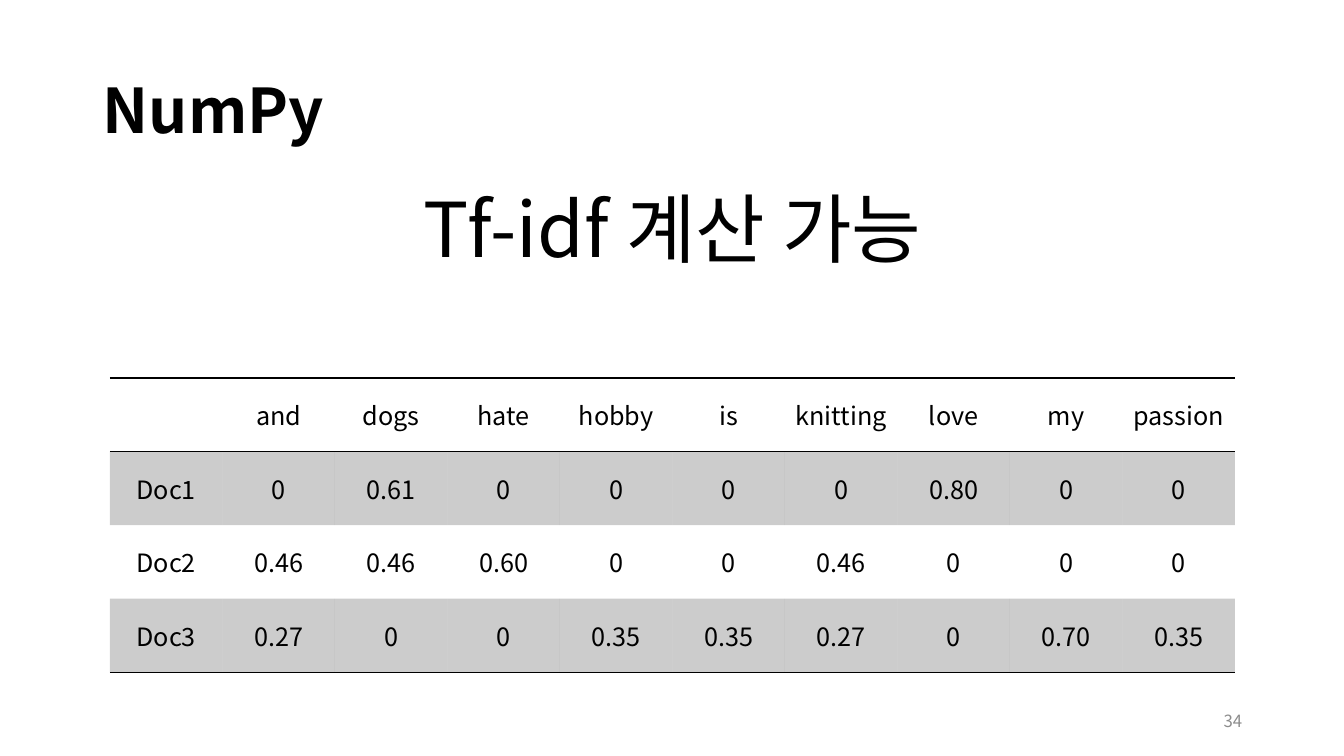
import dataclasses

import lxml.etree
import pptx
import pptx.dml.color
import pptx.enum.text
import pptx.oxml.ns
import pptx.util

Inches = pptx.util.Inches
Pt = pptx.util.Pt
qn = pptx.oxml.ns.qn
Align = pptx.enum.text.PP_ALIGN
Anchor = pptx.enum.text.MSO_ANCHOR


@dataclasses.dataclass(frozen=True)
class Theme:
    font: str = "Noto Sans CJK KR"
    ink: str = "000000"
    muted: str = "8C8C8C"
    band_alpha: int = 20
    title: int = 44
    headline: int = 54
    body: int = 18
    footer: int = 12
    rule: int = 1


THEME = Theme()
NO_STYLE = "{2D5ABB26-0587-4C30-8999-92F81FD0307C}"

TERMS = ["and", "dogs", "hate", "hobby", "is", "knitting", "love", "my", "passion"]
TFIDF = {
    "Doc1": ["0", "0.61", "0", "0", "0", "0", "0.80", "0", "0"],
    "Doc2": ["0.46", "0.46", "0.60", "0", "0", "0.46", "0", "0", "0"],
    "Doc3": ["0.27", "0", "0", "0.35", "0.35", "0.27", "0", "0.70", "0.35"],
}


def rgb(color):
    return pptx.dml.color.RGBColor.from_string(color)


def apply(obj, values):
    for name, value in values.items():
        setattr(obj, name, value)


def write(tf, text, size, color=THEME.ink, bold=False, **paragraph):
    p = tf.paragraphs[0]
    apply(p, paragraph)
    r = p.add_run()
    r.text = text
    apply(r.font, {"name": THEME.font, "size": Pt(size), "bold": bold})
    r.font.color.rgb = rgb(color)
    # Hangul takes its font from the East Asian slot
    ea = lxml.etree.SubElement(r.font._element, qn("a:ea"))
    ea.set("typeface", THEME.font)


def add_text(s, box, text, size, anchor=Anchor.MIDDLE, wrap=True, **style):
    sp = s.shapes.add_textbox(*map(Inches, box))
    tf = sp.text_frame
    apply(tf, {"word_wrap": wrap, "vertical_anchor": anchor})
    write(tf, text, size, **style)
    return tf


def add_border(cell, side):
    ln = lxml.etree.SubElement(cell._tc.get_or_add_tcPr(), qn(f"a:ln{side}"))
    ln.set("w", str(Pt(THEME.rule)))
    fill = lxml.etree.SubElement(ln, qn("a:solidFill"))
    lxml.etree.SubElement(fill, qn("a:srgbClr")).set("val", THEME.ink)


def fill_cell(cell, banded):
    if not banded:
        cell.fill.background()
        return
    cell.fill.solid()
    cell.fill.fore_color.rgb = rgb(THEME.ink)
    clr = cell._tc.tcPr.find(f".//{qn('a:solidFill')}[last()]/..")
    clr = cell._tc.tcPr.find(qn("a:solidFill")).find(qn("a:srgbClr"))
    lxml.etree.SubElement(clr, qn("a:alpha")).set("val", str(THEME.band_alpha * 1000))


def add_table(s, left, top, col_width, row_height, rows):
    n_rows, n_cols = len(rows), len(rows[0])
    frame = s.shapes.add_table(
        n_rows, n_cols, Inches(left), Inches(top),
        Inches(col_width * n_cols), Inches(row_height * n_rows))
    table = frame.table
    apply(table, {"first_row": False, "horz_banding": False})
    table._tbl.tblPr.find(qn("a:tableStyleId")).text = NO_STYLE
    for col in table.columns:
        col.width = Inches(col_width)
    for i, values in enumerate(rows):
        table.rows[i].height = Inches(row_height)
        # Rules above and below the header, and under the last row
        sides = {0: "TB", n_rows - 1: "B"}.get(i, "")
        for j, value in enumerate(values):
            cell = table.cell(i, j)
            cell.vertical_anchor = Anchor.MIDDLE
            for side in sides:
                add_border(cell, side)
            fill_cell(cell, banded=i % 2 == 1)
            if value:
                write(cell.text_frame, value, THEME.body, alignment=Align.CENTER)


def main():
    prs = pptx.Presentation()
    apply(prs, {"slide_width": Inches(13.33), "slide_height": Inches(7.5)})
    s = prs.slides.add_slide(prs.slide_layouts[6])

    # Title and page number
    add_text(s, (0.92, 0.4, 11.5, 1.45), "NumPy", THEME.title,
             bold=True, line_spacing=0.9)
    add_text(s, (9.42, 6.95, 3, 0.4), "34", THEME.footer,
             color=THEME.muted, alignment=Align.RIGHT)

    # Headline
    tf = add_text(s, (3.91, 1.76, 5.52, 1.01), "Tf-idf 계산 가능", THEME.headline,
                  anchor=Anchor.TOP, wrap=False, alignment=Align.CENTER)
    tf.auto_size = pptx.enum.text.MSO_AUTO_SIZE.SHAPE_TO_FIT_TEXT

    # Term weights by document
    rows = [["", *TERMS]] + [[doc, *weights] for doc, weights in TFIDF.items()]
    add_table(s, 1.09, 3.75, 1.116, 0.73, rows)

    prs.save("out.pptx")


if __name__ == "__main__":
    main()
